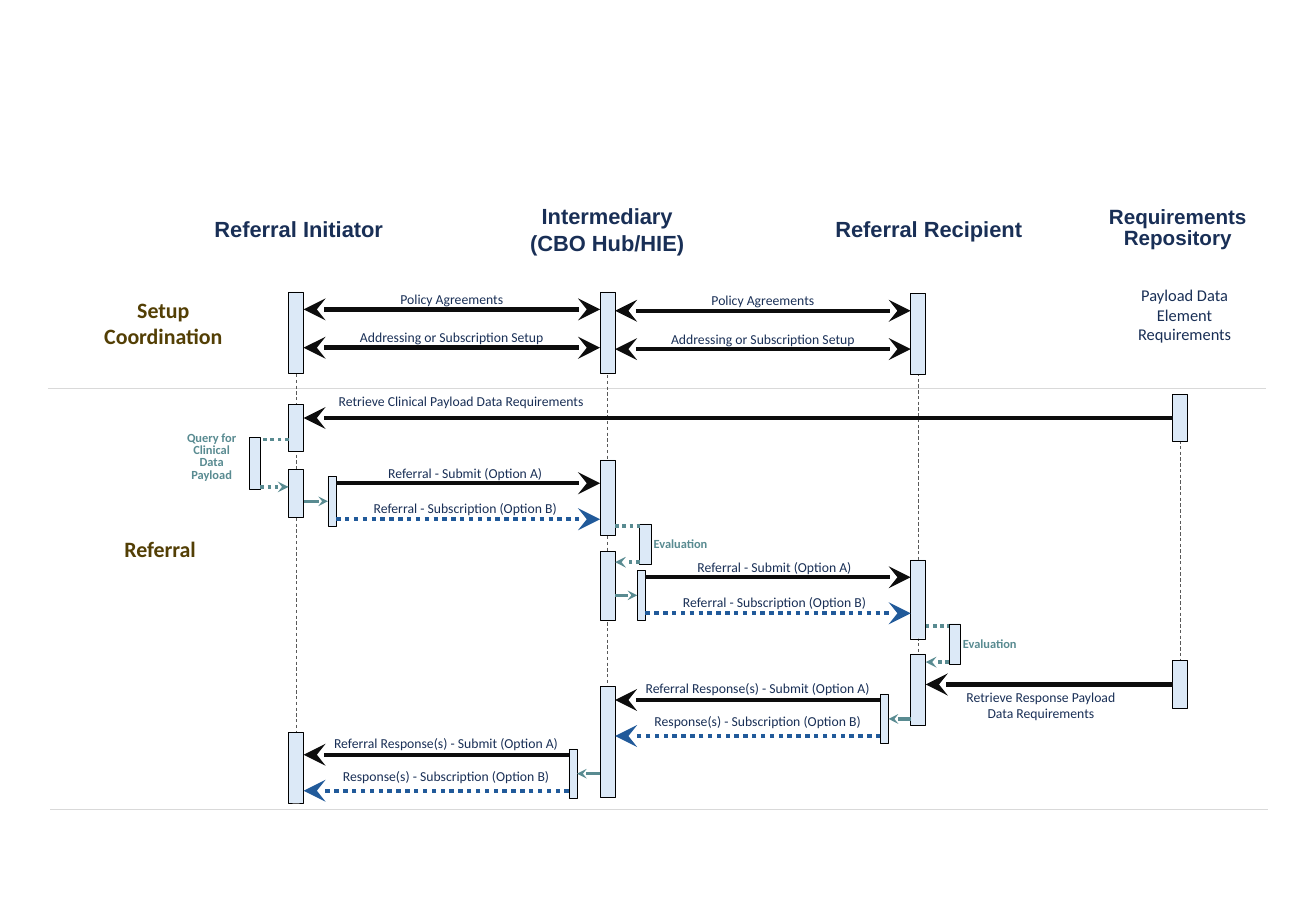
"""Build the referral sequence diagram slide."""
from dataclasses import dataclass

from lxml.etree import SubElement
from pptx import Presentation
from pptx.dml.color import RGBColor
from pptx.enum.dml import MSO_LINE_DASH_STYLE as Dash
from pptx.enum.shapes import MSO_CONNECTOR as Connector, MSO_SHAPE as Preset
from pptx.enum.text import PP_ALIGN as Align
from pptx.oxml.ns import qn
from pptx.util import Cm, Pt

COLORS = {"ink": "0D0D0D", "blue": "215A9A", "teal": "598B91", "navy": "192F56",
          "brown": "533F05", "bar": "DCE9F7", "outline": "000000",
          "lifeline": "595959", "rule": "D9D9D9"}
BAR_WIDTH, STEP_WIDTH, STEP_HEIGHT, LOOP_WIDTH = 0.33, 0.18, 1.09, 0.25


@dataclass
class Label:
    text: str
    center: float
    top: float
    width: float = 6.5
    size: float = 8.5
    color: str = "navy"
    font: str = "Calibri"
    bold: bool = False
    spacing: float | None = None


@dataclass
class Stroke:
    color: str
    weight: float
    dash: Dash | None = None
    head: str = ""
    tail: str = ""


@dataclass
class Participant:
    center: float
    life_top: float
    life_bottom: float
    bars: list[tuple[float, float]]

    @property
    def left(self) -> float:
        return self.center - BAR_WIDTH / 2

    @property
    def right(self) -> float:
        return self.center + BAR_WIDTH / 2


@dataclass
class Message:
    start: float
    end: float
    y: float
    label: Label
    stroke: Stroke


@dataclass
class Step:
    left: float
    top: float
    origin: float
    side: int


@dataclass
class Loop:
    left: float
    top: float
    height: float
    origin: float
    label: Label


SUBMIT = Stroke("ink", 2.75, tail="lg")
SUBSCRIBE = Stroke("blue", 2.75, Dash.ROUND_DOT, tail="lg")
AGREE = Stroke("ink", 2.75, head="lg", tail="lg")
STEP = Stroke("teal", 2, tail="med")
LOOP_OUT = Stroke("teal", 2.25, Dash.ROUND_DOT)
LOOP_BACK = Stroke("teal", 2.25, Dash.ROUND_DOT, tail="med")
LIFELINE = Stroke("lifeline", 0.5, Dash.DASH)
RULE = Stroke("rule", 0.5)

INITIATOR = Participant(6.49, 7.19, 17.48, [(6.4, 1.78), (8.86, 1.04), (10.29, 1.04), (16.05, 1.55)])
INTERMEDIARY = Participant(13.32, 7.34, 17.27, [(6.4, 1.78), (10.08, 1.65), (12.09, 1.5), (15.04, 2.44)])
RECIPIENT = Participant(20.13, 7.67, 14.63, [(6.43, 1.78), (12.27, 1.73), (14.33, 1.57)])
REPOSITORY = Participant(25.87, 9.27, 14.71, [(8.64, 1.04), (14.48, 1.04)])


def heading(text: str, center: float, top: float, width: float, size: float = 13.6,
            spacing: float | None = None) -> Label:
    """Describe a participant heading."""
    return Label(text, center, top, width, size, font="Arial", bold=True, spacing=spacing)


def loop_label(text: str, center: float, top: float, width: float) -> Label:
    """Describe the small label beside a loop."""
    return Label(text, center, top, width, 7.7, "teal", bold=True, spacing=7.7)


LABELS = [
    heading("Referral Initiator", 6.55, 4.72, 4.2),
    heading("Intermediary\n(CBO Hub/HIE)", 13.31, 4.45, 6.05),
    heading("Referral Recipient", 20.36, 4.72, 4.6),
    heading("Requirements Repository", 25.82, 4.52, 3.68, 12.8, 13.6),
    Label("Payload Data Element Requirements", 25.97, 6.25, 2.11, 10.2),
    Label("Setup Coordination", 3.58, 6.5, 2.64, 13.6, "brown", bold=True),
    Label("Referral", 3.51, 11.73, 2.34, 13.6, "brown", bold=True),
]
STEPS = [Step(7.19, 10.44, INITIATOR.right, 1), Step(13.97, 12.5, INTERMEDIARY.right, 1),
         Step(19.3, 15.21, RECIPIENT.left, 3), Step(12.47, 16.41, INTERMEDIARY.left, 3)]
LOOPS = [
    Loop(5.46, 9.58, 1.14, INITIATOR.left,
         loop_label("Query for Clinical Data Payload", 4.64, 9.47, 1.3)),
    Loop(14.02, 11.48, 0.89, INTERMEDIARY.right, loop_label("Evaluation", 14.92, 11.81, 1.7)),
    Loop(20.8, 13.67, 0.89, RECIPIENT.right, loop_label("Evaluation", 21.7, 14, 1.7)),
]
SETUP = [
    Message(a.right, b.left, y + shift, Label(text, (a.right + b.left) / 2, y + shift - 0.41), AGREE)
    for a, b, shift in ((INITIATOR, INTERMEDIARY, 0), (INTERMEDIARY, RECIPIENT, 0.03))
    for text, y in (("Policy Agreements", 6.78), ("Addressing or Subscription Setup", 7.62))
]
EXCHANGES = [
    Message(start, end, y + gap, Label(text, center, y + gap - lift), stroke)
    for start, end, y, center, pair in (
        (7.37, INTERMEDIARY.left, 10.59, 10.2, "Referral"),
        (14.15, RECIPIENT.left, 12.65, 16.98, "Referral"),
        (19.3, INTERMEDIARY.right, 15.34, 16.61, "Response(s)"),
        (12.47, INITIATOR.right, 16.54, 9.78, "Response(s)"))
    for text, gap, lift, stroke in (
        (("Referral - Submit (Option A)", 0, 0.41, SUBMIT),
         ("Referral - Subscription (Option B)", 0.79, 0.43, SUBSCRIBE)) if pair == "Referral" else
        (("Referral Response(s) - Submit (Option A)", 0, 0.44, SUBMIT),
         ("Response(s) - Subscription (Option B)", 0.79, 0.51, SUBSCRIBE)))
]
RETRIEVALS = [
    Message(REPOSITORY.left, INITIATOR.right, 9.16,
            Label("Retrieve Clinical Payload Data Requirements", 10.11, 8.61), SUBMIT),
    Message(REPOSITORY.left, RECIPIENT.right, 15,
            Label("Retrieve Response Payload\nData Requirements", 22.82, 15.09), SUBMIT),
]


def draw_label(shapes, label: Label) -> None:
    """Write a centred label."""
    frame = shapes.add_textbox(Cm(label.center - label.width / 2), Cm(label.top),
                               Cm(label.width), Cm(0.4)).text_frame
    frame.margin_left = frame.margin_right = frame.margin_top = frame.margin_bottom = 0
    frame.word_wrap = True
    frame.text = label.text
    for paragraph in frame.paragraphs:
        paragraph.alignment = Align.CENTER
        if label.spacing:
            paragraph.line_spacing = Pt(label.spacing)
        for run in paragraph.runs:
            run.font.name, run.font.size, run.font.bold = label.font, Pt(label.size), label.bold
            run.font.color.rgb = RGBColor.from_string(COLORS[label.color])


def draw_line(shapes, x1: float, y1: float, x2: float, y2: float, stroke: Stroke):
    """Draw a straight line with optional stealth arrowheads."""
    connector = shapes.add_connector(Connector.STRAIGHT, Cm(x1), Cm(y1), Cm(x2), Cm(y2))
    line = connector.line
    line.color.rgb = RGBColor.from_string(COLORS[stroke.color])
    line.width = Pt(stroke.weight)
    if stroke.dash:
        line.dash_style = stroke.dash
    properties = connector._element.spPr
    for tag, size in (("a:headEnd", stroke.head), ("a:tailEnd", stroke.tail)):
        if size:
            SubElement(properties.find(qn("a:ln")), qn(tag), type="stealth", w=size, len=size)
    SubElement(properties, qn("a:effectLst"))
    return connector


def draw_bar(shapes, left: float, top: float, width: float, height: float):
    """Draw an activation bar."""
    bar = shapes.add_shape(Preset.RECTANGLE, Cm(left), Cm(top), Cm(width), Cm(height))
    bar.shadow.inherit = False
    bar.fill.solid()
    bar.fill.fore_color.rgb = RGBColor.from_string(COLORS["bar"])
    bar.line.color.rgb = RGBColor.from_string(COLORS["outline"])
    bar.line.width = Pt(0.25)
    return bar


def main() -> None:
    """Draw the slide and save it."""
    deck = Presentation()
    deck.slide_width, deck.slide_height = Cm(28.85), Cm(20.14)
    shapes = deck.slides.add_slide(deck.slide_layouts[6]).shapes
    for left, y in ((1.05, 8.52), (1.1, 17.74)):
        draw_line(shapes, left, y, left + 26.7, y, RULE)
    participants = (INITIATOR, INTERMEDIARY, RECIPIENT, REPOSITORY)
    for who in participants:
        draw_line(shapes, who.center, who.life_top, who.center, who.life_bottom, LIFELINE)
    bars = [[draw_bar(shapes, who.left, top, BAR_WIDTH, height) for top, height in who.bars]
            for who in participants]
    for step in STEPS:
        bar = draw_bar(shapes, step.left, step.top, STEP_WIDTH, STEP_HEIGHT)
        middle = step.top + STEP_HEIGHT / 2
        draw_line(shapes, step.origin, middle, step.left, middle, STEP).end_connect(bar, step.side)
    for loop in LOOPS:
        draw_bar(shapes, loop.left, loop.top, LOOP_WIDTH, loop.height)
        edge = loop.left if loop.left > loop.origin else loop.left + LOOP_WIDTH
        leave, back = loop.top + 0.05, loop.top + loop.height - 0.05
        draw_line(shapes, loop.origin, leave, edge, leave, LOOP_OUT)
        draw_line(shapes, edge, back, loop.origin, back, LOOP_BACK)
    messages = SETUP + EXCHANGES + RETRIEVALS
    arrows = [draw_line(shapes, m.start, m.y, m.end, m.y, m.stroke) for m in messages]
    for arrow, bar in zip(arrows[-len(RETRIEVALS):], bars[-1]):
        arrow.begin_connect(bar, 1)
    for label in LABELS + [item.label for item in LOOPS + messages]:
        draw_label(shapes, label)
    deck.save("out.pptx")


if __name__ == "__main__":
    main()
